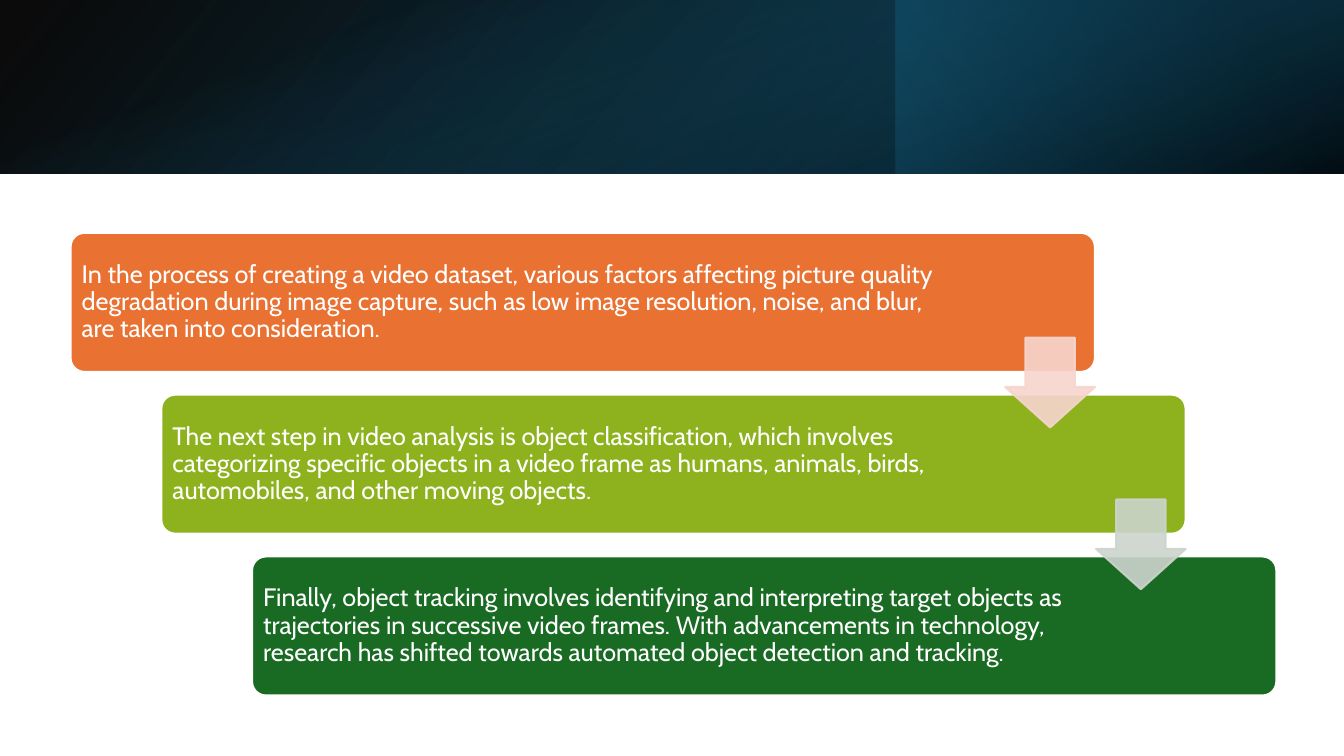
from lxml.etree import SubElement
from pptx import Presentation
from pptx.dml.color import RGBColor
from pptx.enum.shapes import MSO_SHAPE
from pptx.enum.text import MSO_ANCHOR
from pptx.oxml import parse_xml
from pptx.oxml.ns import nsdecls, qn
from pptx.util import Inches, Pt

WHITE = RGBColor(0xFF, 0xFF, 0xFF)
ORANGE = RGBColor(0xE9, 0x71, 0x32)
LIME = RGBColor(0x8E, 0xB2, 0x1E)
GREEN = RGBColor(0x19, 0x6B, 0x24)
PALE_PINK = RGBColor(0xF7, 0xD5, 0xCE)
PALE_GREY = RGBColor(0xCC, 0xD4, 0xCD)
BLACK = RGBColor(0, 0, 0)
NAVY = RGBColor(0x0B, 0x30, 0x41)
DEEP_BLUE = RGBColor(0x10, 0x48, 0x62)
TEAL = RGBColor(0x15, 0x60, 0x82)

WIDTH, HEIGHT, BANNER = 13.33, 7.5, 1.72

deck = Presentation()
deck.slide_width, deck.slide_height = Inches(WIDTH), Inches(HEIGHT)
slide = deck.slides.add_slide(deck.slide_layouts[6])


def add_block(preset, box, color=None, line_color=None, adjustments=()):
    block = slide.shapes.add_shape(preset, *map(Inches, box))
    block.shadow.inherit = False
    for index, value in enumerate(adjustments):
        block.adjustments[index] = value
    if color is not None:
        block.fill.solid()
        block.fill.fore_color.rgb = color
    if line_color is None:
        block.line.fill.background()
    else:
        block.line.color.rgb = line_color
        block.line.width = Pt(1.5)
    return block


# Banner: three layered gradients as (box, rotation, flipped, angle, stops),
# each stop being (position %, colour, opacity %)
banner_layers = [
    ((0, 0, WIDTH, BANNER), 0, True, 140,
     [(0, BLACK, 96), (100, DEEP_BLUE, 100)]),
    ((WIDTH * 2 / 3, 0, WIDTH / 3, BANNER), 180, False, 320,
     [(19, NAVY, 68), (100, TEAL, 79)]),
    (((WIDTH - BANNER) / 2, (BANNER - WIDTH) / 2, BANNER, WIDTH), 90, False, 340,
     [(23, TEAL, 0), (99, BLACK, 74)]),
]
for box, rotation, flipped, angle, stops in banner_layers:
    layer = add_block(MSO_SHAPE.RECTANGLE, box)
    layer.rotation = rotation
    properties = layer._element.spPr
    if flipped:
        properties.find(qn("a:xfrm")).set("flipH", "1")
    stop_xml = "".join(
        f'<a:gs pos="{position * 1000}"><a:srgbClr val="{color}">'
        f'<a:alpha val="{opacity * 1000}"/></a:srgbClr></a:gs>'
        for position, color, opacity in stops)
    properties.find(qn("a:prstGeom")).addnext(parse_xml(
        f'<a:gradFill {nsdecls("a")}><a:gsLst>{stop_xml}</a:gsLst>'
        f'<a:lin ang="{angle * 60000}" scaled="0"/></a:gradFill>'))

# Staircase of steps: (colour, text width, text)
LEFT, TOP, STEP_X, STEP_Y = 0.7, 2.31, 0.9, 1.605
CARD_W, CARD_H, MARGIN = 10.16, 1.38, 0.04
steps = [
    (ORANGE, 8.67, "In the process of creating a video dataset, various factors affecting picture quality degradation during image capture, such as low image resolution, noise, and blur, are taken into consideration."),
    (LIME, 8.29, "The next step in video analysis is object classification, which involves categorizing specific objects in a video frame as humans, animals, birds, automobiles, and other moving objects."),
    (GREEN, 8.29, "Finally, object tracking involves identifying and interpreting target objects as trajectories in successive video frames. With advancements in technology, research has shifted towards automated object detection and tracking."),
]
for row, (color, text_width, text) in enumerate(steps):
    left, top = LEFT + row * STEP_X, TOP + row * STEP_Y
    add_block(MSO_SHAPE.ROUNDED_RECTANGLE, (left, top, CARD_W, CARD_H), color, WHITE, [0.1])
    caption = slide.shapes.add_textbox(
        Inches(left + MARGIN), Inches(top + MARGIN),
        Inches(text_width), Inches(CARD_H - 2 * MARGIN)).text_frame
    caption.word_wrap = True
    caption.vertical_anchor = MSO_ANCHOR.MIDDLE
    caption.margin_left = caption.margin_right = Inches(0.07)
    caption.margin_top = caption.margin_bottom = Inches(0.07)
    caption.text = text
    paragraph = caption.paragraphs[0]
    paragraph.line_spacing = 0.9
    paragraph.font.size = Pt(18)
    paragraph.font.name = "Cabin"
    paragraph.font.color.rgb = WHITE

# Translucent arrows that lead from each step to the next
ARROW = 0.89
for row, color in enumerate([PALE_PINK, PALE_GREY]):
    box = (LEFT + CARD_W - ARROW + row * STEP_X, 3.35 + row * STEP_Y, ARROW, ARROW)
    arrow = add_block(MSO_SHAPE.DOWN_ARROW, box, color, color, [0.55, 0.45])
    for tint in arrow._element.spPr.iter(qn("a:srgbClr")):
        SubElement(tint, qn("a:alpha")).set("val", "90000")

deck.save("out.pptx")
